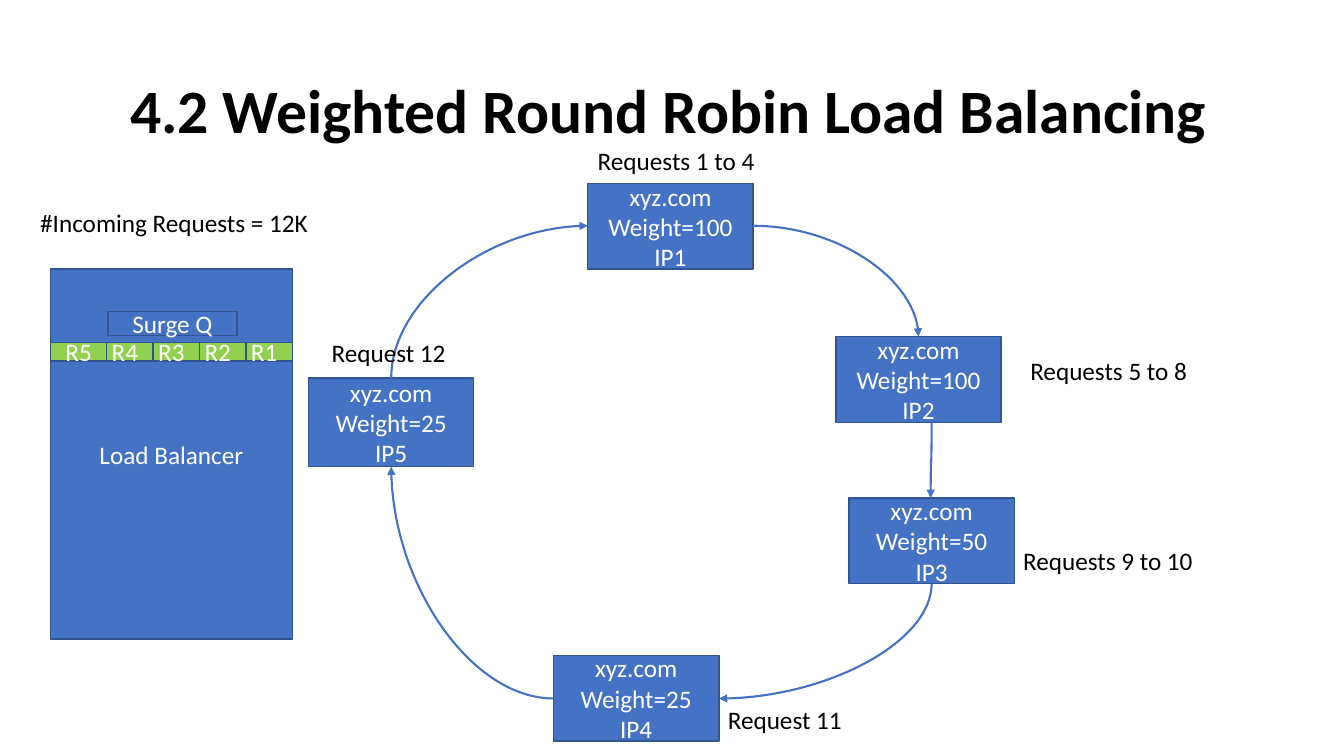
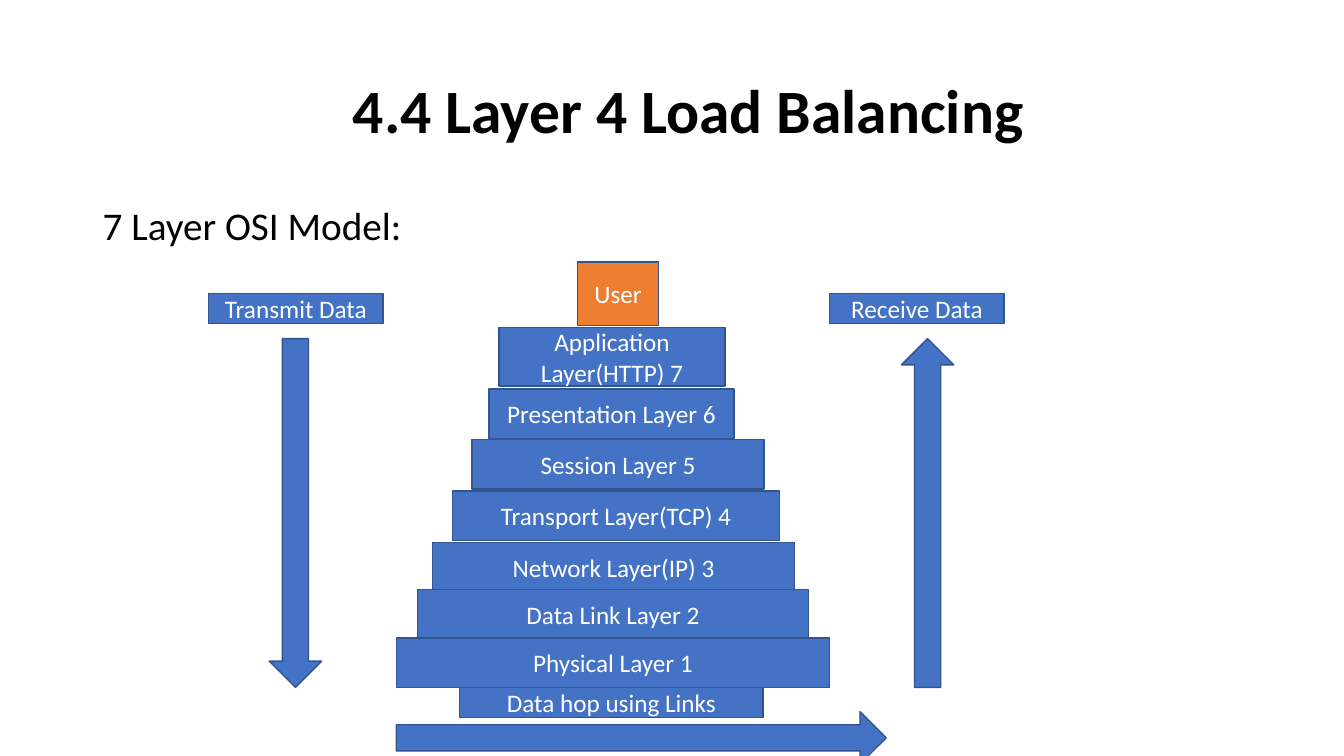
"""Build two slides on weighted round robin and layer 4 load balancing."""
from dataclasses import dataclass
from typing import NamedTuple

import lxml.etree
import pptx
import pptx.dml.color
import pptx.enum.shapes
import pptx.enum.text
import pptx.oxml.ns
import pptx.slide
import pptx.text.text
import pptx.util

Inches = pptx.util.Inches
Shape = pptx.enum.shapes.MSO_SHAPE
Align = pptx.enum.text.PP_ALIGN
Anchor = pptx.enum.text.MSO_ANCHOR
qn = pptx.oxml.ns.qn


def color(value: str) -> pptx.dml.color.RGBColor:
    return pptx.dml.color.RGBColor.from_string(value)


@dataclass(frozen=True)
class Theme:
    font: str = "Calibri"
    blue: str = "4472C4"
    outline: str = "325491"
    green: str = "92D050"
    orange: str = "ED7D31"
    black: str = "000000"
    white: str = "FFFFFF"
    title_size: int = 44
    body_size: int = 28
    label_size: int = 18
    outline_width: float = 1
    link_width: float = 1.5
    line_spacing: float = 0.9
    inset: float = 0.1


THEME = Theme()


class Block(NamedTuple):
    left: float
    top: float
    width: float
    height: float
    text: str = ""
    fill: str = THEME.blue
    kind: Shape = Shape.RECTANGLE


class Label(NamedTuple):
    left: float
    top: float
    width: float
    text: str


class Server(NamedTuple):
    left: float
    top: float
    weight: int
    number: int
    height: float = 0.85


class Link(NamedTuple):
    start: tuple[float, float]
    end: tuple[float, float]
    vertical_first: bool
    preset: str = "curvedConnector2"


SERVER_WIDTH = 1.64
SERVERS = [
    Server(3.06, 3.75, 25, 5, 0.88),
    Server(5.83, 1.82, 100, 1),
    Server(5.49, 6.5, 25, 4),
    Server(8.42, 4.94, 50, 3),
    Server(8.29, 3.34, 100, 2),
]
LINKS = [
    Link((3.88, 3.75), (5.83, 2.24), True),
    Link((7.47, 2.24), (9.11, 3.34), False),
    Link((9.24, 5.79), (7.13, 6.93), True),
    Link((9.24, 4.19), (9.23, 4.94), True, "curvedConnector3"),
    Link((5.49, 6.93), (3.88, 4.63), False),
]
REQUEST_LABELS = [
    Label(5.83, 1.39, 1.78, "Requests 1 to 4"),
    Label(3.19, 3.3, 1.35, "Request 12"),
    Label(7.12, 6.94, 1.35, "Request 11"),
    Label(10.05, 5.36, 1.9, "Requests 9 to 10"),
    Label(10.12, 3.48, 1.78, "Requests 5 to 8"),
    Label(0.3, 2.01, 2.89, "#Incoming Requests = 12K"),
]
QUEUE_LENGTH = 5
QUEUE_RIGHT = 2.34
QUEUE_STEP = 0.46
LAYERS = [
    Block(4.95, 3.25, 2.24, 0.58, "Application Layer(HTTP) 7"),
    Block(4.85, 3.86, 2.43, 0.49, "Presentation Layer 6"),
    Block(4.68, 4.36, 2.9, 0.49, "Session Layer 5"),
    Block(4.49, 4.87, 3.24, 0.49, "Transport Layer(TCP) 4"),
    Block(4.29, 5.38, 3.59, 0.49, "Network Layer(IP) 3"),
    Block(4.14, 5.85, 3.88, 0.49, "Data Link Layer 2"),
    Block(3.93, 6.33, 4.3, 0.49, "Physical Layer 1"),
]
DATA_FLOW = [
    Block(2.67, 3.36, 0.52, 3.46, kind=Shape.DOWN_ARROW),
    Block(3.93, 7.06, 4.86, 0.52, kind=Shape.RIGHT_ARROW),
    Block(8.94, 3.36, 0.52, 3.46, kind=Shape.UP_ARROW),
    Block(2.07, 2.91, 1.73, 0.3, "Transmit Data"),
    Block(8.23, 2.91, 1.73, 0.3, "Receive Data"),
    Block(4.56, 6.82, 3.01, 0.3, "Data hop using Links"),
    Block(5.73, 2.6, 0.8, 0.63, "User", THEME.orange),
]


def write(frame: pptx.text.text.TextFrame, text: str, size: int, ink: str,
          align: Align = Align.LEFT, bold: bool = False, spacing: float = 1.0) -> None:
    frame.text = text
    for para in frame.paragraphs:
        para.alignment = align
        para.line_spacing = spacing
        for span in para.runs:
            span.font.name = THEME.font
            span.font.size = pptx.util.Pt(size)
            span.font.bold = bold
            span.font.color.rgb = color(ink)


def add_title(page: pptx.slide.Slide, text: str, indent: float) -> None:
    box = page.shapes.add_textbox(Inches(0.92), Inches(0.4), Inches(11.5), Inches(1.45))
    frame = box.text_frame
    frame.word_wrap = True
    frame.vertical_anchor = Anchor.MIDDLE
    frame.margin_left = Inches(THEME.inset + indent)
    write(frame, text, THEME.title_size, THEME.black, bold=True, spacing=THEME.line_spacing)


def add_body(page: pptx.slide.Slide, text: str) -> None:
    box = page.shapes.add_textbox(Inches(0.92), Inches(2), Inches(11.5), Inches(4.76))
    box.text_frame.word_wrap = True
    write(box.text_frame, text, THEME.body_size, THEME.black, spacing=THEME.line_spacing)


def add_label(page: pptx.slide.Slide, label: Label) -> None:
    box = page.shapes.add_textbox(
        Inches(label.left), Inches(label.top), Inches(label.width), Inches(0.4))
    box.text_frame.word_wrap = False
    write(box.text_frame, label.text, THEME.label_size, THEME.black)


def add_block(page: pptx.slide.Slide, block: Block) -> None:
    shape = page.shapes.add_shape(
        block.kind, Inches(block.left), Inches(block.top),
        Inches(block.width), Inches(block.height))
    shape.shadow.inherit = False
    shape.fill.solid()
    shape.fill.fore_color.rgb = color(block.fill)
    shape.line.color.rgb = color(THEME.outline)
    shape.line.width = pptx.util.Pt(THEME.outline_width)
    if block.text:
        shape.text_frame.word_wrap = True
        shape.text_frame.vertical_anchor = Anchor.MIDDLE
        write(shape.text_frame, block.text, THEME.label_size, THEME.white, Align.CENTER)


def add_server(page: pptx.slide.Slide, server: Server) -> None:
    text = f"xyz.com\nWeight={server.weight}\nIP{server.number}"
    add_block(page, Block(server.left, server.top, SERVER_WIDTH, server.height, text))


def quarter_turn(point: tuple[float, float],
                 center: tuple[float, float]) -> tuple[float, float]:
    return (center[0] + point[1] - center[1], center[1] - point[0] + center[0])


def add_link(page: pptx.slide.Slide, link: Link) -> None:
    start, end = link.start, link.end
    if link.vertical_first:
        center = ((start[0] + end[0]) / 2, (start[1] + end[1]) / 2)
        start, end = quarter_turn(start, center), quarter_turn(end, center)
    connector = page.shapes.add_connector(
        pptx.enum.shapes.MSO_CONNECTOR.CURVE,
        *(Inches(value) for value in (*start, *end)))
    connector.line.color.rgb = color(THEME.blue)
    connector.line.width = pptx.util.Pt(THEME.link_width)
    properties = connector._element.spPr
    properties.find(qn("a:prstGeom")).set("prst", link.preset)
    if link.vertical_first:
        properties.find(qn("a:xfrm")).set("rot", "5400000")
    lxml.etree.SubElement(properties.find(qn("a:ln")), qn("a:tailEnd"), type="triangle")
    lxml.etree.SubElement(properties, qn("a:effectLst"))


def build_round_robin(page: pptx.slide.Slide) -> None:
    add_title(page, "4.2 Weighted Round Robin Load Balancing", 0.27)
    for server in SERVERS:
        add_server(page, server)
    for link in LINKS:
        add_link(page, link)
    for label in REQUEST_LABELS:
        add_label(page, label)
    add_block(page, Block(0.5, 2.67, 2.4, 3.67, "Load Balancer"))
    for index in range(QUEUE_LENGTH):
        left = QUEUE_RIGHT - index * QUEUE_STEP
        add_block(page, Block(left, 3.4, 0.56, 0.18, f"R{index + 1}", THEME.green))
    add_block(page, Block(1.07, 3.09, 1.28, 0.24, "Surge Q"))


def build_layer_model(page: pptx.slide.Slide) -> None:
    add_title(page, "4.4 Layer 4 Load Balancing", 2.48)
    add_body(page, "7 Layer OSI Model:")
    for block in LAYERS + DATA_FLOW:
        add_block(page, block)


def main() -> None:
    deck = pptx.Presentation()
    deck.slide_width = Inches(13.33)
    deck.slide_height = Inches(7.5)
    for build in (build_round_robin, build_layer_model):
        build(deck.slides.add_slide(deck.slide_layouts[6]))
    deck.save("out.pptx")


if __name__ == "__main__":
    main()
